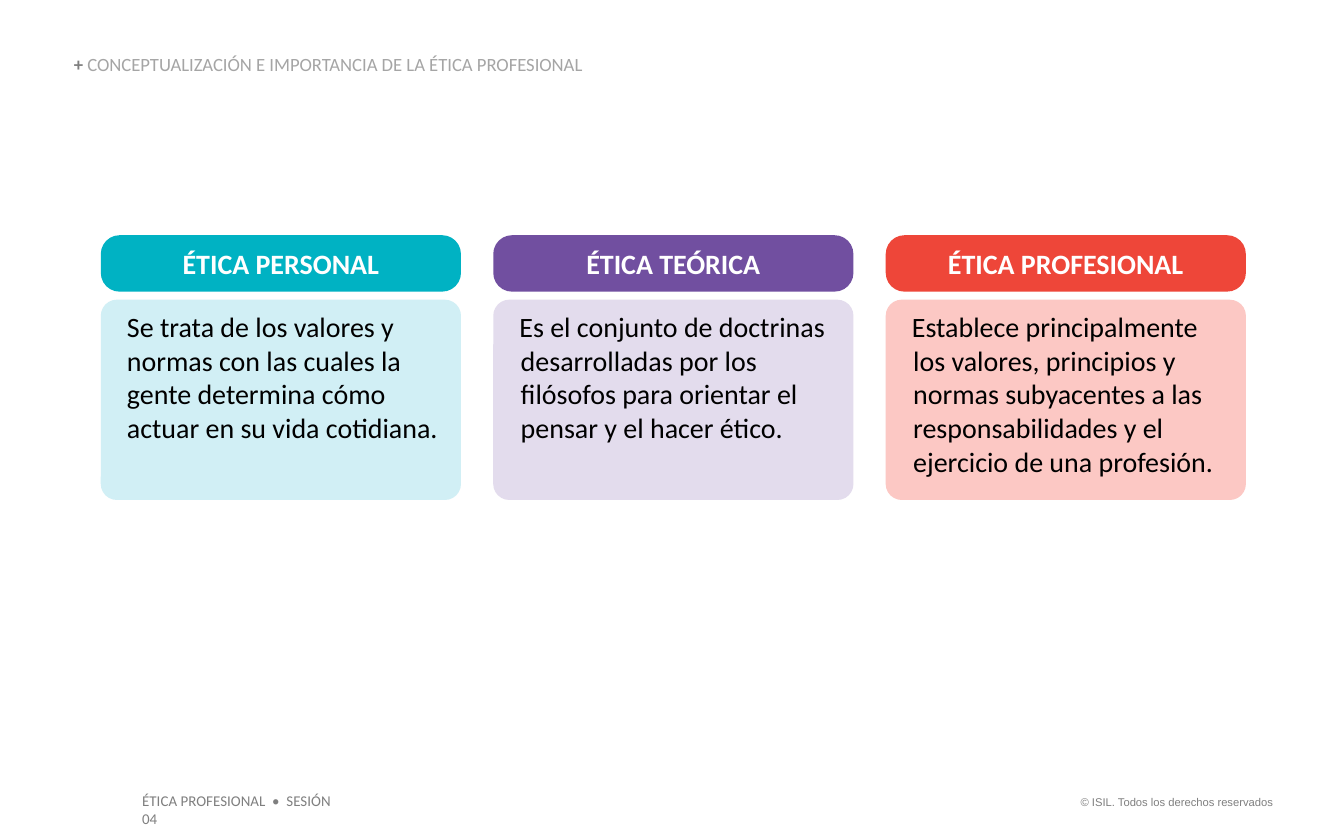
from pptx import Presentation
from pptx.dml.color import RGBColor
from pptx.enum.shapes import MSO_SHAPE
from pptx.enum.text import MSO_ANCHOR, MSO_AUTO_SIZE, PP_ALIGN
from pptx.util import Inches, Pt

COLUMNS = [
    ("ÉTICA PERSONAL", "00B2C3", "D1EFF5", 0,
     "Se trata de los valores y normas con las cuales la gente determina "
     "cómo actuar en su vida cotidiana."),
    ("ÉTICA TEÓRICA", "714FA0", "E3DCED", 0.01,
     "Es el conjunto de doctrinas desarrolladas por los filósofos para "
     "orientar el pensar y el hacer ético."),
    ("ÉTICA PROFESIONAL", "EE4639", "FCC8C4", 0.01,
     "Establece principalmente los valores, principios y normas subyacentes "
     "a las responsabilidades y el ejercicio de una profesión."),
]


def color(value):
    """Turn a hex string into a colour."""
    return RGBColor.from_string(value)


def set_font(font, size, value, bold=False, name="Calibri"):
    """Format a paragraph or run font."""
    font.name, font.size, font.bold = name, Pt(size), bold
    font.color.rgb = color(value)


def set_frame(frame, margins, anchor=MSO_ANCHOR.TOP):
    """Set wrapping, margins and anchor of a text frame."""
    frame.word_wrap = True
    frame.auto_size = MSO_AUTO_SIZE.NONE
    frame.vertical_anchor = anchor
    (frame.margin_left, frame.margin_top,
     frame.margin_right, frame.margin_bottom) = map(Inches, margins)


def add_title(slide, left, top, width, height):
    """Place the slide title with its bold plus sign."""
    title = slide.shapes.title
    title.left, title.top = Inches(left), Inches(top)
    title.width, title.height = Inches(width), Inches(height)
    set_frame(title.text_frame, (0, 0, 0, 0), MSO_ANCHOR.BOTTOM)
    paragraph = title.text_frame.paragraphs[0]
    paragraph.alignment = PP_ALIGN.LEFT
    paragraph.line_spacing = 0.9
    for text, value, bold in (
        ("+ ", "7F7F7F", True),
        ("CONCEPTUALIZACIÓN E IMPORTANCIA DE LA ÉTICA PROFESIONAL", "A5A5A5", False),
    ):
        run = paragraph.add_run()
        run.text = text
        set_font(run.font, 10, value, bold)


def add_footer(slide, left, top, width, height, text, size, name, alignment):
    """Place one grey footer text."""
    box = slide.shapes.add_textbox(Inches(left), Inches(top), Inches(width), Inches(height))
    set_frame(box.text_frame, (0.1, 0.05, 0.1, 0.05))
    paragraph = box.text_frame.paragraphs[0]
    paragraph.text = text
    paragraph.alignment = alignment
    set_font(paragraph.font, size, "7F7F7F", name=name)


def add_panel(slide, left, top, width, height, radius, fill, text):
    """Draw a filled rounded panel with text and return it."""
    panel = slide.shapes.add_shape(
        MSO_SHAPE.ROUNDED_RECTANGLE,
        Inches(left), Inches(top), Inches(width), Inches(height))
    panel.adjustments[0] = radius
    panel.shadow.inherit = False
    panel.fill.solid()
    panel.fill.fore_color.rgb = color(fill)
    panel.line.fill.background()
    panel.text_frame.text = text
    return panel


def add_column(slide, left, top, width, height, heading, dark, light, indent, body):
    """Stack a heading panel over a description panel."""
    heading_height, gap = 0.42, 0.06
    header = add_panel(slide, left, top, width, heading_height, 0.333, dark, heading)
    set_frame(header.text_frame, (0.1, 0.05, 0.1, 0.05), MSO_ANCHOR.MIDDLE)
    paragraph = header.text_frame.paragraphs[0]
    paragraph.alignment = PP_ALIGN.CENTER
    set_font(paragraph.font, 15, "FFFFFF", True)

    offset = heading_height + gap
    description = add_panel(
        slide, left, top + offset, width, height - offset, 0.08, light, body)
    set_frame(description.text_frame, (0.16, 0.04, 0.1, 0.05))
    paragraph = description.text_frame.paragraphs[0]
    paragraph.alignment = PP_ALIGN.LEFT
    properties = paragraph._p.get_or_add_pPr()
    properties.set("marL", str(Inches(indent)))
    properties.set("indent", str(Inches(-indent)))
    set_font(paragraph.font, 15, "000000")


def main():
    """Build and save the slide."""
    presentation = Presentation()
    presentation.slide_width, presentation.slide_height = Inches(10), Inches(6.25)
    slide = presentation.slides.add_slide(presentation.slide_layouts[5])
    add_footer(slide, 7.88, 5.87, 1.69, 0.2, "© ISIL. Todos los derechos reservados",
               6, "Arial", PP_ALIGN.RIGHT)
    add_footer(slide, 0.96, 5.84, 1.74, 0.24, "ÉTICA PROFESIONAL  •  SESIÓN 04",
               8, "Calibri", PP_ALIGN.LEFT)
    add_title(slide, 0.55, 0.41, 5.23, 0.15)
    for index, column in enumerate(COLUMNS):
        add_column(slide, 0.75 + index * 2.92, 1.75, 2.68, 1.97, *column)
    presentation.save("out.pptx")


if __name__ == "__main__":
    main()
